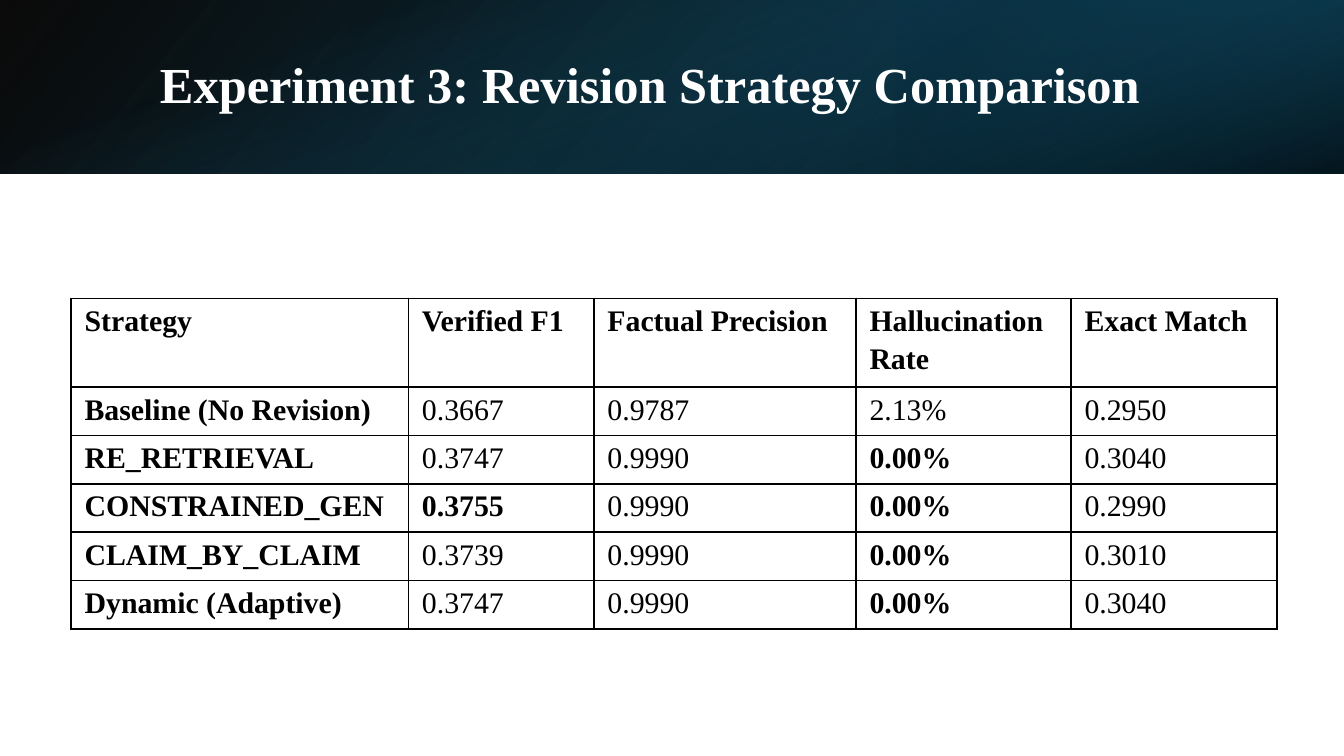
"""Build the slide comparing revision strategies in one table."""
from lxml import etree
from pptx import Presentation
from pptx import util as u
from pptx.dml.color import RGBColor
from pptx.enum import shapes, text
from pptx.oxml import parse_xml
from pptx.oxml.ns import nsdecls, qn

WIDTH, BAND_HEIGHT = 10, 1.29
HEIGHT = WIDTH * 9 / 16
FONT, BLACK, WHITE = "Times New Roman", "000000", "FFFFFF"
TITLE = "Experiment 3: Revision Strategy Comparison"
ROWS = [
    ("Strategy", "Verified F1", "Factual Precision", "Hallucination Rate", "Exact Match"),
    ("Baseline (No Revision)", "0.3667", "0.9787", "2.13%", "0.2950"),
    ("RE_RETRIEVAL", "0.3747", "0.9990", "0.00%", "0.3040"),
    ("CONSTRAINED_GEN", "0.3755", "0.9990", "0.00%", "0.2990"),
    ("CLAIM_BY_CLAIM", "0.3739", "0.9990", "0.00%", "0.3010"),
    ("Dynamic (Adaptive)", "0.3747", "0.9990", "0.00%", "0.3040"),
]
BEST_VALUES = {"0.3755", "0.00%"}
COLUMN_WIDTHS = [2.51, 1.38, 1.95, 1.6, 1.53]
ROW_HEIGHTS = [0.66] + [0.36] * (len(ROWS) - 1)
TABLE_LEFT, TABLE_TOP = 0.53, 2.22

SIDE = (WIDTH - BAND_HEIGHT) / 2
BAND_LAYERS = [
    {"box": (0, 0, WIDTH, BAND_HEIGHT), "rotation": 0, "flip": True, "angle": 140,
     "stops": [(0, "000000", 96), (100, "0F4861", 100)]},
    {"box": (WIDTH * 2 / 3, 0, WIDTH / 3, BAND_HEIGHT), "rotation": 180, "flip": True, "angle": 320,
     "stops": [(0, "0A3041", 68), (19, "0A3041", 68), (100, "156082", 79)]},
    {"box": (SIDE, -SIDE, BAND_HEIGHT, WIDTH), "rotation": 90, "flip": False, "angle": 340,
     "stops": [(0, "156082", 0), (23, "156082", 0), (99, "000000", 74), (100, "000000", 74)]},
]


def inches(values):
    return [u.Inches(value) for value in values]


def style_text(paragraph, size, color, bold, spacing):
    paragraph.alignment = text.PP_ALIGN.LEFT
    paragraph.line_spacing = spacing
    for run in paragraph.runs:
        run.font.name, run.font.size, run.font.bold = FONT, u.Pt(size), bold
        run.font.color.rgb = RGBColor.from_string(color)


def set_margins(target, left, top, right, bottom):
    target.margin_left, target.margin_top, target.margin_right, target.margin_bottom = inches(
        (left, top, right, bottom))


def add_band_layer(slide, box, rotation, flip, angle, stops):
    shape = slide.shapes.add_shape(shapes.MSO_SHAPE.RECTANGLE, *inches(box))
    shape.shadow.inherit = False
    shape.line.fill.background()
    shape.rotation = rotation
    properties = shape._element.spPr
    if flip:
        properties.find(qn("a:xfrm")).set("flipH", "1")
    stop_xml = "".join(
        f'<a:gs pos="{position * 1000}"><a:srgbClr val="{color}">'
        f'<a:alpha val="{opacity * 1000}"/></a:srgbClr></a:gs>'
        for position, color, opacity in stops)
    gradient = parse_xml(
        f'<a:gradFill {nsdecls("a")} rotWithShape="1"><a:gsLst>{stop_xml}</a:gsLst>'
        f'<a:lin ang="{angle * 60000}" scaled="0"/></a:gradFill>')
    properties.find(qn("a:prstGeom")).addnext(gradient)


def add_title(slide):
    title = slide.shapes.title
    slide.shapes._spTree.append(title._element)
    title.left, title.top, title.width, title.height = inches((1.12, 0.29, 8.24, 0.72))
    frame = title.text_frame
    frame.text = TITLE
    frame.word_wrap = True
    frame.vertical_anchor = text.MSO_ANCHOR.MIDDLE
    set_margins(frame, 0.07, 0.04, 0.07, 0.04)
    style_text(frame.paragraphs[0], 27, WHITE, True, 0.9)


def add_borders(cell):
    properties = cell._tc.get_or_add_tcPr()
    for side in "LRTB":
        line = etree.SubElement(properties, qn(f"a:ln{side}"), w=str(u.Pt(1)))
        fill = etree.SubElement(line, qn("a:solidFill"))
        etree.SubElement(fill, qn("a:srgbClr"), val=BLACK)


def add_results_table(slide):
    box = (TABLE_LEFT, TABLE_TOP, sum(COLUMN_WIDTHS), sum(ROW_HEIGHTS))
    table = slide.shapes.add_table(len(ROWS), len(COLUMN_WIDTHS), *inches(box)).table
    table.horz_banding = False
    for column, width in zip(table.columns, inches(COLUMN_WIDTHS)):
        column.width = width
    for row, height in zip(table.rows, inches(ROW_HEIGHTS)):
        row.height = height
    for row_index, values in enumerate(ROWS):
        for column_index, value in enumerate(values):
            cell = table.cell(row_index, column_index)
            cell.text_frame.text = value
            set_margins(cell, 0.1, 0.01, 0.1, 0)
            add_borders(cell)
            cell.fill.background()
            bold = row_index == 0 or column_index == 0 or value in BEST_VALUES
            style_text(cell.text_frame.paragraphs[0], 16, BLACK, bold, 1.15)


def main():
    presentation = Presentation()
    presentation.slide_width, presentation.slide_height = inches((WIDTH, HEIGHT))
    slide = presentation.slides.add_slide(presentation.slide_layouts[5])
    for layer in BAND_LAYERS:
        add_band_layer(slide, **layer)
    add_title(slide)
    add_results_table(slide)
    presentation.save("out.pptx")


if __name__ == "__main__":
    main()
